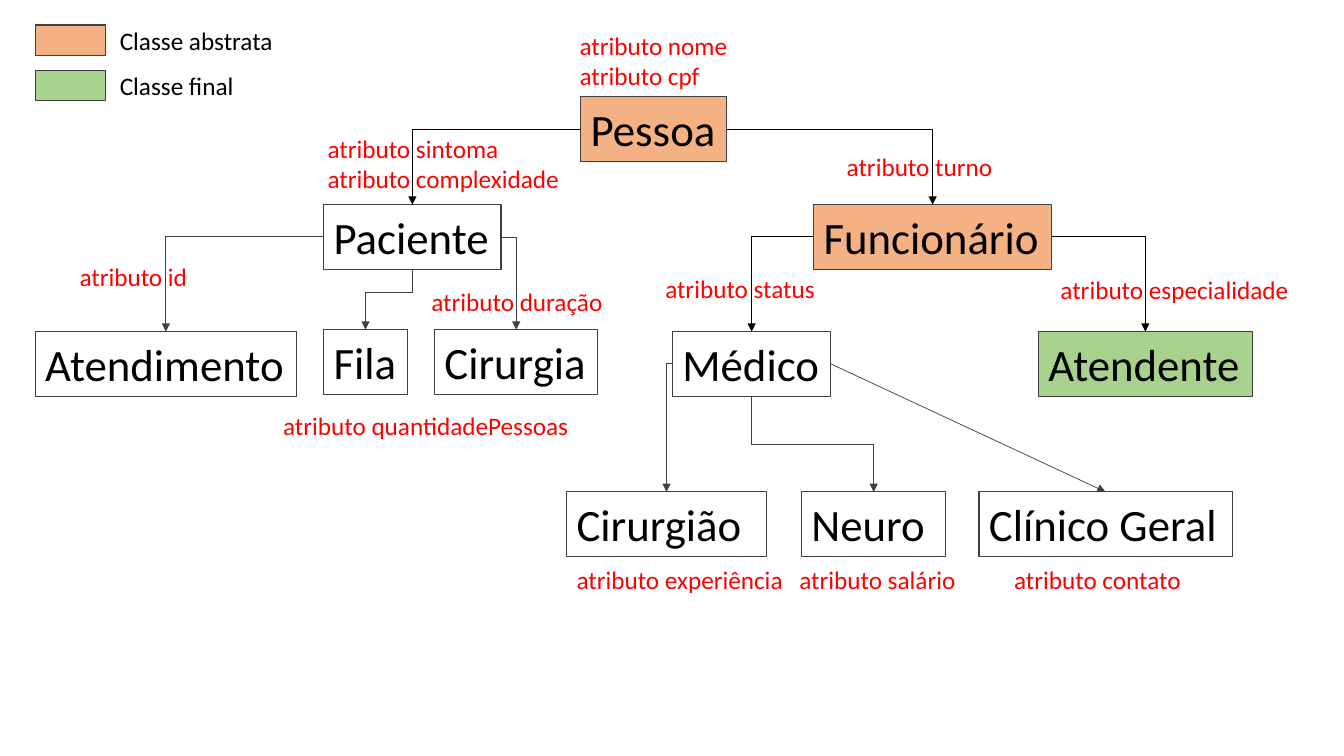
from dataclasses import dataclass

from lxml.etree import SubElement
from pptx import Presentation
from pptx.dml.color import RGBColor
from pptx.enum.shapes import MSO_CONNECTOR, MSO_SHAPE
from pptx.enum.text import MSO_AUTO_SIZE
from pptx.oxml.ns import qn
from pptx.util import Inches, Pt


@dataclass(frozen=True)
class Theme:
    """Colours and type sizes of the class diagram."""
    font: str = "Calibri"
    ink: str = "000000"
    line: str = "404040"
    attribute: str = "FF0000"
    abstract: str = "F4B183"
    final: str = "A9D18E"
    class_size: int = 32
    label_size: int = 18


THEME = Theme()
BOX_HEIGHT, LABEL_HEIGHT, LINE_STEP = 0.64, 0.4, 0.31
TOP, LEFT, BOTTOM, RIGHT = range(4)  # connection sites of a rectangle

# Class name: left, top, width, fill
CLASSES = {
    "Pessoa": (5.76, 0.96, 1.45, THEME.abstract),
    "Paciente": (3.21, 2.03, 1.76, None),
    "Funcionário": (8.07, 2.03, 2.36, THEME.abstract),
    "Médico": (6.67, 3.29, 1.57, None),
    "Atendente": (10.3, 3.29, 2.12, THEME.final),
    "Atendimento": (0.35, 3.29, 2.59, None),
    "Fila": (3.21, 3.27, 0.83, None),
    "Cirurgia": (4.31, 3.27, 1.62, None),
    "Cirurgião": (5.62, 4.88, 1.98, None),
    "Neuro": (7.95, 4.88, 1.43, None),
    "Clínico Geral": (9.71, 4.88, 2.51, None),
}
WRAPPED = {"Cirurgião", "Neuro", "Clínico Geral"}

# Parent, side it leaves from, child, line colour
CORNER_LINKS = [
    ("Pessoa", LEFT, "Paciente", THEME.ink),
    ("Pessoa", RIGHT, "Funcionário", THEME.ink),
    ("Funcionário", LEFT, "Médico", THEME.ink),
    ("Funcionário", RIGHT, "Atendente", THEME.ink),
    ("Paciente", LEFT, "Atendimento", THEME.line),
    ("Paciente", RIGHT, "Cirurgia", THEME.line),
    ("Médico", LEFT, "Cirurgião", THEME.line),
]
# Parent, child, share of the drop before the turn
STEP_LINKS = [("Paciente", "Fila", 0.377), ("Médico", "Neuro", 0.5)]
STRAIGHT_LINKS = [("Médico", "Clínico Geral")]

# Lines of text, left, top, width
ATTRIBUTES = [
    (["atributo nome", "atributo cpf"], 5.65, 0.25, 1.68),
    (["atributo sintoma", "atributo complexidade"], 3.15, 1.27, 2.52),
    (["atributo turno"], 8.3, 1.45, 1.66),
    (["atributo status"], 6.5, 2.66, 1.7),
    (["atributo especialidade"], 10.42, 2.67, 2.5),
    (["atributo id"], 0.69, 2.54, 1.28),
    (["atributo quantidadePessoas"], 2.71, 4.02, 3.06),
    (["atributo duração"], 4.18, 2.79, 1.92),
    (["atributo experiência"], 5.62, 5.55, 2.28),
    (["atributo salário"], 7.83, 5.55, 1.77),
    (["atributo contato"], 9.96, 5.55, 1.87),
]
# Meaning, fill, label width
LEGEND = [("Classe abstrata", THEME.abstract, 1.73), ("Classe final", THEME.final, 1.34)]


def paint(shape, fill, width):
    """Give a shape its optional fill and its outline."""
    if fill:
        shape.fill.solid()
        shape.fill.fore_color.rgb = RGBColor.from_string(fill)
    shape.line.color.rgb = RGBColor.from_string(THEME.line)
    shape.line.width = Pt(width)


def add_text(page, lines, left, top, width, height, size, color, wrap=False):
    """Add a text box with one paragraph per line."""
    box = page.shapes.add_textbox(*map(Inches, (left, top, width, height)))
    frame = box.text_frame
    frame.text = "\n".join(lines)
    frame.word_wrap = wrap
    frame.auto_size = MSO_AUTO_SIZE.SHAPE_TO_FIT_TEXT
    for para in frame.paragraphs:
        para.font.name = THEME.font
        para.font.size = Pt(size)
        para.font.color.rgb = RGBColor.from_string(color)
    return box


def add_link(page, kind, parent, side, child, color=THEME.line):
    """Join a side of the parent to the top of the child with an arrow."""
    link = page.shapes.add_connector(kind, 0, 0, 0, 0)
    link.begin_connect(parent, side)
    link.end_connect(child, TOP)
    link.line.color.rgb = RGBColor.from_string(color)
    link.line.width = Pt(0.5)
    SubElement(link.line._get_or_add_ln(), qn("a:tailEnd"), type="triangle")
    SubElement(link._element.spPr, qn("a:effectLst"))
    return link


def turn(link, degrees, flip=None):
    """Replace the flips of a link by a rotation and at most one flip."""
    frame = link._element.spPr.find(qn("a:xfrm"))
    for name in ("flipH", "flipV"):
        frame.attrib.pop(name, None)
    frame.set("rot", str(degrees * 60000))
    if flip:
        frame.set(flip, "1")


def add_corner(page, parent, side, child, color):
    """Link sideways from the parent, then down to the child."""
    link = add_link(page, MSO_CONNECTOR.ELBOW, parent, side, child, color)
    link._element.spPr.find(qn("a:prstGeom")).set("prst", "bentConnector2")
    if side == LEFT:
        turn(link, 180, "flipV")


def add_step(page, parent, child, share):
    """Link down from the parent, across, and down to the child."""
    link = add_link(page, MSO_CONNECTOR.ELBOW, parent, BOTTOM, child)
    goes_right = link.end_x > link.begin_x
    center_x = link.left + link.width // 2
    center_y = link.top + link.height // 2
    link.width, link.height = link.height, link.width
    link.left = center_x - link.width // 2
    link.top = center_y - link.height // 2
    turn(link, *((270, "flipH") if goes_right else (90,)))
    guides = link._element.spPr.find(qn("a:prstGeom")).find(qn("a:avLst"))
    SubElement(guides, qn("a:gd"), name="adj1", fmla=f"val {round(share * 100000)}")


def add_legend(page):
    """Add the colour swatches and their meanings."""
    for row, (meaning, fill, width) in enumerate(LEGEND):
        top = 0.25 + row * 0.45
        swatch = page.shapes.add_shape(
            MSO_SHAPE.RECTANGLE, *map(Inches, (0.35, top, 0.7, 0.3)))
        swatch.shadow.inherit = False
        paint(swatch, fill, 1)
        add_text(page, [meaning], 1.09, top - 0.05, width, LABEL_HEIGHT,
                 THEME.label_size, THEME.ink)


deck = Presentation()
deck.slide_width, deck.slide_height = Inches(13.33), Inches(7.5)
page = deck.slides.add_slide(deck.slide_layouts[6])

boxes = {}
for name, (left, top, width, fill) in CLASSES.items():
    boxes[name] = add_text(page, [name], left, top, width, BOX_HEIGHT,
                           THEME.class_size, THEME.ink, name in WRAPPED)
    paint(boxes[name], fill, 0.75)

for parent, side, child, color in CORNER_LINKS:
    add_corner(page, boxes[parent], side, boxes[child], color)
for parent, child, share in STEP_LINKS:
    add_step(page, boxes[parent], boxes[child], share)
for parent, child in STRAIGHT_LINKS:
    add_link(page, MSO_CONNECTOR.STRAIGHT, boxes[parent], RIGHT, boxes[child])

for lines, left, top, width in ATTRIBUTES:
    height = LABEL_HEIGHT + LINE_STEP * (len(lines) - 1)
    add_text(page, lines, left, top, width, height, THEME.label_size, THEME.attribute)
add_legend(page)

deck.save("out.pptx")
